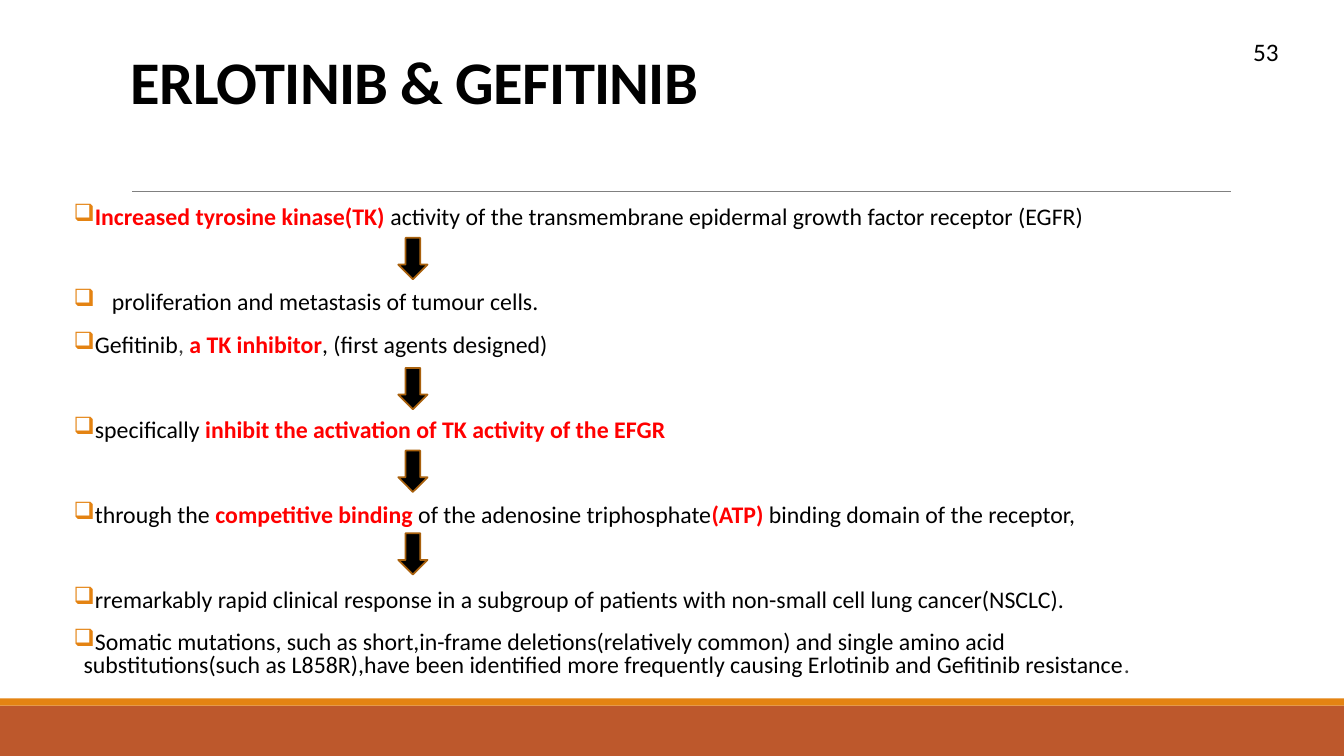
"""Build the Erlotinib and Gefitinib mechanism slide."""
from lxml.etree import SubElement
from pptx import Presentation
from pptx.dml.color import RGBColor as RGB
from pptx.enum.shapes import MSO_CONNECTOR as CONN, MSO_SHAPE as SHAPE
from pptx.oxml.ns import qn
from pptx.util import Inches, Pt

THEME = dict(font="Calibri", text="000000", key="FF0000", muted="404040",
             accent="E48312", footer="BD582C", rule="808080", edge="A9610D",
             title_pt=43.2, body_pt=17, number_pt=18)
TITLE = "ERLOTINIB & GEFITINIB"
NUMBER = "53"
HANG, WIDE_HANG = 0.1, 0.38
GAP, ARROW_GAP = 12, 42.4

STEPS = [
    (0, HANG, [("Increased tyrosine kinase(TK) ", "key"),
               ("activity of the transmembrane epidermal growth factor receptor (EGFR)", "text")]),
    (ARROW_GAP, WIDE_HANG, [("proliferation and metastasis of tumour cells.", "text")]),
    (GAP, HANG, [("Gefitinib", "text"), (", ", "muted"), ("a TK inhibitor", "key"),
                 (", (first agents designed)", "text")]),
    (ARROW_GAP, HANG, [("specifically ", "text"),
                       ("inhibit the activation of TK activity of the EFGR", "key")]),
    (ARROW_GAP, HANG, [("through the ", "text"), ("competitive binding ", "key"),
                       ("of the adenosine triphosphate", "text"), ("(ATP) ", "key"),
                       ("binding domain of the receptor,", "text")]),
    (ARROW_GAP, HANG, [("rremarkably rapid clinical response in a subgroup of patients "
                        "with non-small cell lung cancer(NSCLC).", "text")]),
    (GAP, HANG, [("Somatic mutations, such as short,in-frame deletions(relatively common) "
                  "and single amino acid substitutions(such as L858R),have been identified "
                  "more frequently causing Erlotinib and Gefitinib resistance", "text"),
                 (".", "muted")]),
]
BANDS = [((0, 7, 13.33, 0.5), "footer"), ((0, 6.93, 13.33, 0.07), "accent")]
ARROW_TOPS = [2.36] + [3.65 + 0.82 * i for i in range(3)]


def color(name):
    return RGB.from_string(THEME[name])


def add_shape(s, kind, box, fill, edge=None):
    sp = s.shapes.add_shape(kind, *map(Inches, box))
    sp.shadow.inherit = False
    sp.fill.solid()
    sp.fill.fore_color.rgb = color(fill)
    if edge:
        sp.line.color.rgb = color(edge)
        sp.line.width = Pt(1.25)
    else:
        sp.line.fill.background()


def add_text(s, box, insets):
    tf = s.shapes.add_textbox(*map(Inches, box)).text_frame
    tf.word_wrap = True
    sides = ("margin_left", "margin_top", "margin_right", "margin_bottom")
    for side, inset in zip(sides, insets):
        setattr(tf, side, Inches(inset))
    return tf


def add_run(p, text, size, tone="text", bold=False):
    r = p.add_run()
    r.text = text
    for key, value in dict(name=THEME["font"], size=Pt(THEME[size]), bold=bold).items():
        setattr(r.font, key, value)
    r.font.color.rgb = color(tone)
    return r


def add_bullet(p, hang):
    ppr = p._p.get_or_add_pPr()
    ppr.set("marL", str(Inches(hang)))
    ppr.set("indent", str(-Inches(hang)))
    tint = SubElement(ppr, qn("a:buClr"))
    SubElement(tint, qn("a:srgbClr"), val=THEME["accent"])
    SubElement(ppr, qn("a:buChar"), char="❑")


def add_steps(s):
    tf = add_text(s, (0.73, 2.01, 10.51, 4.87), (0, 0.05, 0, 0.05))
    for i, (before, hang, runs) in enumerate(STEPS):
        p = tf.add_paragraph() if i else tf.paragraphs[0]
        add_bullet(p, hang)
        spacing = dict(line_spacing=0.8, space_before=Pt(before), space_after=Pt(2))
        for key, value in spacing.items():
            setattr(p, key, value)
        for text, tone in runs:
            add_run(p, text, "body_pt", tone, tone == "key")


def main():
    prs = Presentation()
    prs.slide_width, prs.slide_height = Inches(13.33), Inches(7.5)
    s = prs.slides.add_slide(prs.slide_layouts[6])

    for box, fill in BANDS:
        add_shape(s, SHAPE.RECTANGLE, box, fill)
    rule = s.shapes.add_connector(CONN.STRAIGHT, *map(Inches, (1.31, 1.9, 12.21, 1.9)))
    rule.line.color.rgb = color("rule")
    rule.line.width = Pt(0.5)
    SubElement(rule._element.spPr, qn("a:effectLst"))

    p = add_text(s, (1.2, 0.31, 11, 1.59), (0.1, 0.24, 0.1, 0.05)).paragraphs[0]
    p.line_spacing = 0.85
    r = add_run(p, TITLE, "title_pt", bold=True)
    r.font._element.set("spc", "-50")

    add_steps(s)
    for top in ARROW_TOPS:
        add_shape(s, SHAPE.DOWN_ARROW, (3.95, top, 0.29, 0.41), "text", "edge")
    tf = add_text(s, (12.33, 0.31, 1, 0.4), (0.1, 0.05, 0.1, 0.05))
    add_run(tf.paragraphs[0], NUMBER, "number_pt")
    prs.save("out.pptx")


if __name__ == "__main__":
    main()
